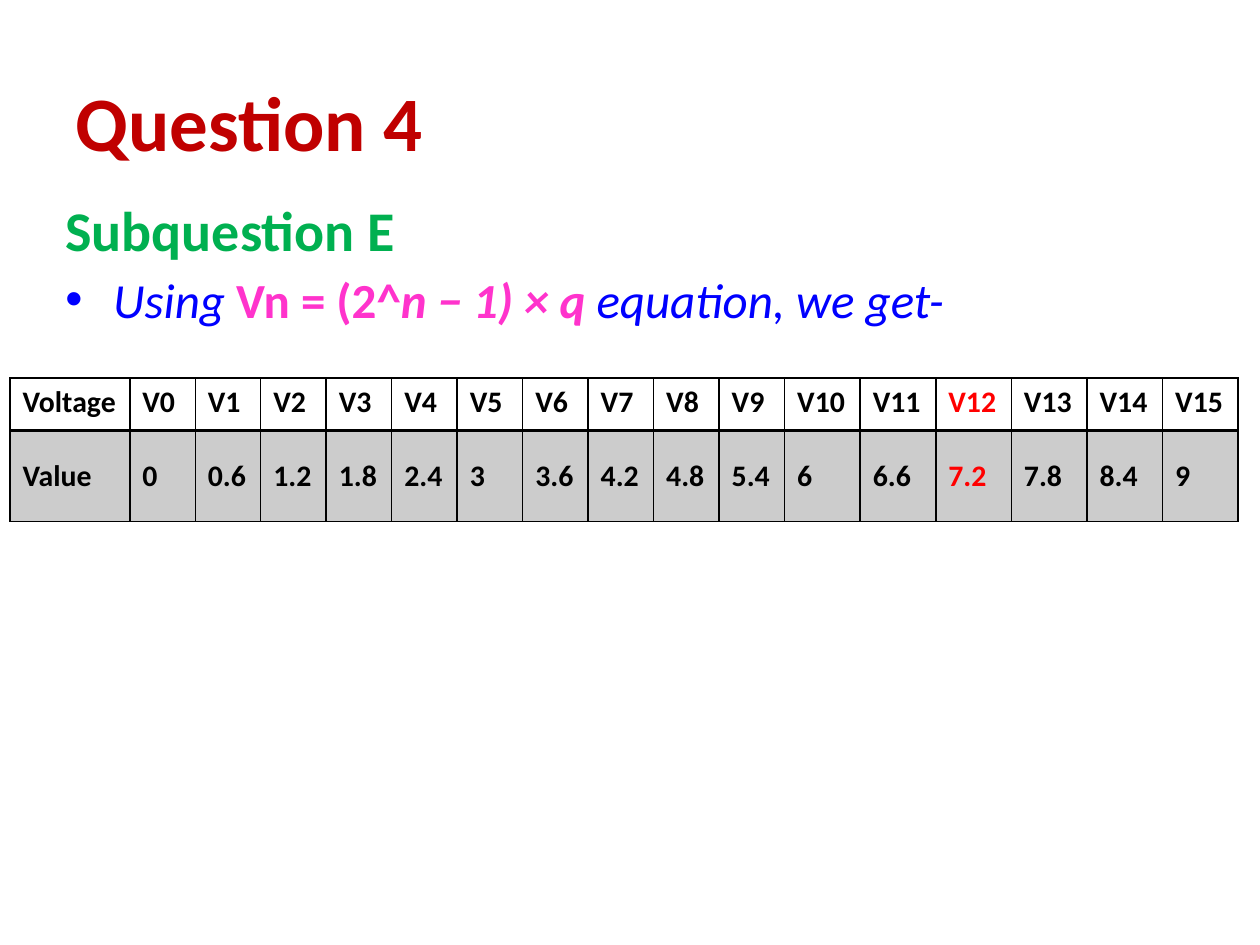
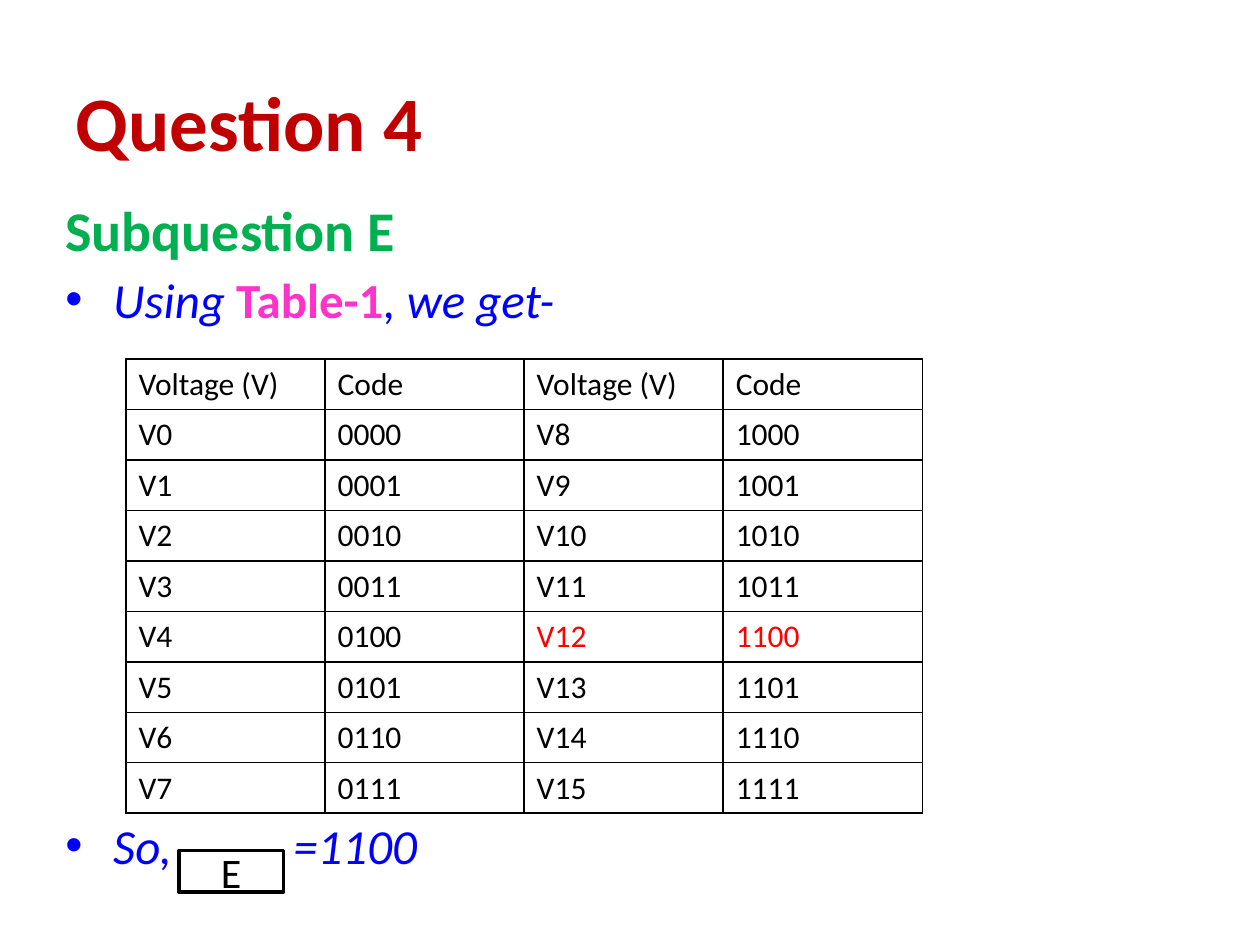
from lxml.etree import SubElement
from pptx import Presentation
from pptx.dml.color import RGBColor
from pptx.enum.shapes import MSO_SHAPE
from pptx.enum.text import MSO_ANCHOR, PP_ALIGN
from pptx.oxml.ns import qn
from pptx.util import Inches, Pt

FONT = "Calibri"
BLACK = RGBColor(0x00, 0x00, 0x00)
WHITE = RGBColor(0xFF, 0xFF, 0xFF)
GRAY = RGBColor(0xCC, 0xCC, 0xCC)
DARK_RED = RGBColor(0xC0, 0x00, 0x00)
RED = RGBColor(0xFF, 0x00, 0x00)
GREEN = RGBColor(0x00, 0xB0, 0x50)
BLUE = RGBColor(0x00, 0x00, 0xFF)
PINK = RGBColor(0xFF, 0x33, 0xCC)

TITLE = "Question 4"
SUBTITLE = "Subquestion E"
STEP = 0.6
LEVELS = range(16)

# Span styles: colour, bold, italic
PLAIN = (BLUE, False, True)
KEY = (PINK, True, False)
KEY_ITALIC = (PINK, True, True)
HEADING = (GREEN, True, False)

EQUATION_LINE = [("Using ", PLAIN), ("Vn = (2^", KEY), ("n − 1) × q ", KEY_ITALIC),
                 ("equation, we get-", PLAIN)]
LOOKUP_LINE = [("Using ", PLAIN), ("Table-1", KEY), (", we get-", PLAIN)]

VOLTAGE_ROWS = [["Voltage"] + [f"V{n}" for n in LEVELS],
                ["Value"] + [f"{STEP * n:g}" for n in LEVELS]]
VOLTAGE_WIDTHS = [0.95] + [0.52] * 10 + [0.6] * 6
VOLTAGE_MARKED = {(0, 13), (1, 13)}

CODE_ROWS = [["Voltage (V)", "Code"] * 2] + [
    [f"V{n}", f"{n:04b}", f"V{n + 8}", f"{n + 8:04b}"] for n in range(8)]
CODE_MARKED = {(5, 2), (5, 3)}


def style_font(span, size, color, bold=False, italic=False):
    font = span.font
    font.name, font.size = FONT, Pt(size)
    font.bold, font.italic = bold, italic
    font.color.rgb = color


def add_text_box(page, left, top, width, height):
    box = page.shapes.add_textbox(Inches(left), Inches(top), Inches(width), Inches(height))
    box.text_frame.word_wrap = True
    return box.text_frame


def write_line(para, spans, size, bullet=False):
    """Fill a body paragraph with styled spans and a hanging indent."""
    para.space_before = Pt(4)
    for text, style in spans:
        span = para.add_run()
        span.text = text
        style_font(span, size, *style)
    if bullet:
        properties = para._p.get_or_add_pPr()
        properties.set("marL", str(Inches(0.38)))
        properties.set("indent", str(-Inches(0.38)))
        SubElement(properties, qn("a:buFont"), typeface="Arial")
        SubElement(properties, qn("a:buChar"), char="•")


def add_question_page(deck, line):
    page = deck.slides.add_slide(deck.slide_layouts[6])
    title = add_text_box(page, 0.5, 0.33, 9, 1.25)
    title.vertical_anchor = MSO_ANCHOR.MIDDLE
    title.text = TITLE
    style_font(title.paragraphs[0].runs[0], 44, DARK_RED, bold=True)
    body = add_text_box(page, 0.42, 1.5, 9.33, 1.3)
    write_line(body.paragraphs[0], [(SUBTITLE, HEADING)], 32)
    write_line(body.add_paragraph(), line, 28, bullet=True)
    return page


def draw_borders(cell, bottom=1, top=1):
    properties = cell._tc.get_or_add_tcPr()
    sides = [("L", 1), ("R", 1), ("T", top), ("B", bottom)]
    for position, (side, width) in enumerate(sides):
        line = SubElement(properties, qn(f"a:ln{side}"), w=str(Pt(width)))
        fill = SubElement(line, qn("a:solidFill"))
        SubElement(fill, qn("a:srgbClr"), val=str(BLACK))
        properties.insert(position, line)


def add_grid(page, rows, left, top, widths, heights, size, marked, bold=False):
    """Add a plain bordered table and return it; marked cells have red text."""
    frame = page.shapes.add_table(len(rows), len(widths), Inches(left), Inches(top),
                                  Inches(sum(widths)), Inches(sum(heights)))
    table = frame.table
    table.first_row = table.horz_banding = False
    for column, width in zip(table.columns, widths):
        column.width = Inches(width)
    for row, height in zip(table.rows, heights):
        row.height = Inches(height)
    for r, texts in enumerate(rows):
        for c, text in enumerate(texts):
            cell = table.cell(r, c)
            cell.text = text
            color = RED if (r, c) in marked else BLACK
            style_font(cell.text_frame.paragraphs[0].runs[0], size, color, bold)
            cell.fill.background()
    return table


def build_voltage_page(deck):
    page = add_question_page(deck, EQUATION_LINE)
    table = add_grid(page, VOLTAGE_ROWS, 0.08, 3, VOLTAGE_WIDTHS, [0.42, 0.72], 17,
                     VOLTAGE_MARKED, bold=True)
    for column in range(len(VOLTAGE_WIDTHS)):
        name, value = table.cell(0, column), table.cell(1, column)
        value.fill.solid()
        value.fill.fore_color.rgb = GRAY
        value.vertical_anchor = MSO_ANCHOR.MIDDLE
        draw_borders(name, bottom=2)
        draw_borders(value, top=2)


def build_code_page(deck):
    page = add_question_page(deck, LOOKUP_LINE)
    table = add_grid(page, CODE_ROWS, 1, 2.85, [1.58] * 4, [0.4] * 9, 18, CODE_MARKED)
    for cell in table.iter_cells():
        draw_borders(cell)

    so = add_text_box(page, 0.42, 6.42, 1.1, 0.6)
    write_line(so.paragraphs[0], [("So,", PLAIN)], 28, bullet=True)
    result = add_text_box(page, 2.23, 6.42, 2, 0.6)
    write_line(result.paragraphs[0], [("=1100", PLAIN)], 28)

    label = page.shapes.add_shape(MSO_SHAPE.RECTANGLE, Inches(1.42), Inches(6.75),
                                  Inches(0.83), Inches(0.33))
    label.shadow.inherit = False
    label.fill.solid()
    label.fill.fore_color.rgb = WHITE
    label.line.color.rgb = BLACK
    label.line.width = Pt(2)
    label.text_frame.text = "E"
    label.text_frame.vertical_anchor = MSO_ANCHOR.MIDDLE
    para = label.text_frame.paragraphs[0]
    para.alignment = PP_ALIGN.CENTER
    style_font(para.runs[0], 24, BLACK)


def main():
    deck = Presentation()
    deck.slide_width, deck.slide_height = Inches(10), Inches(7.5)
    build_voltage_page(deck)
    build_code_page(deck)
    deck.save("out.pptx")


if __name__ == "__main__":
    main()
